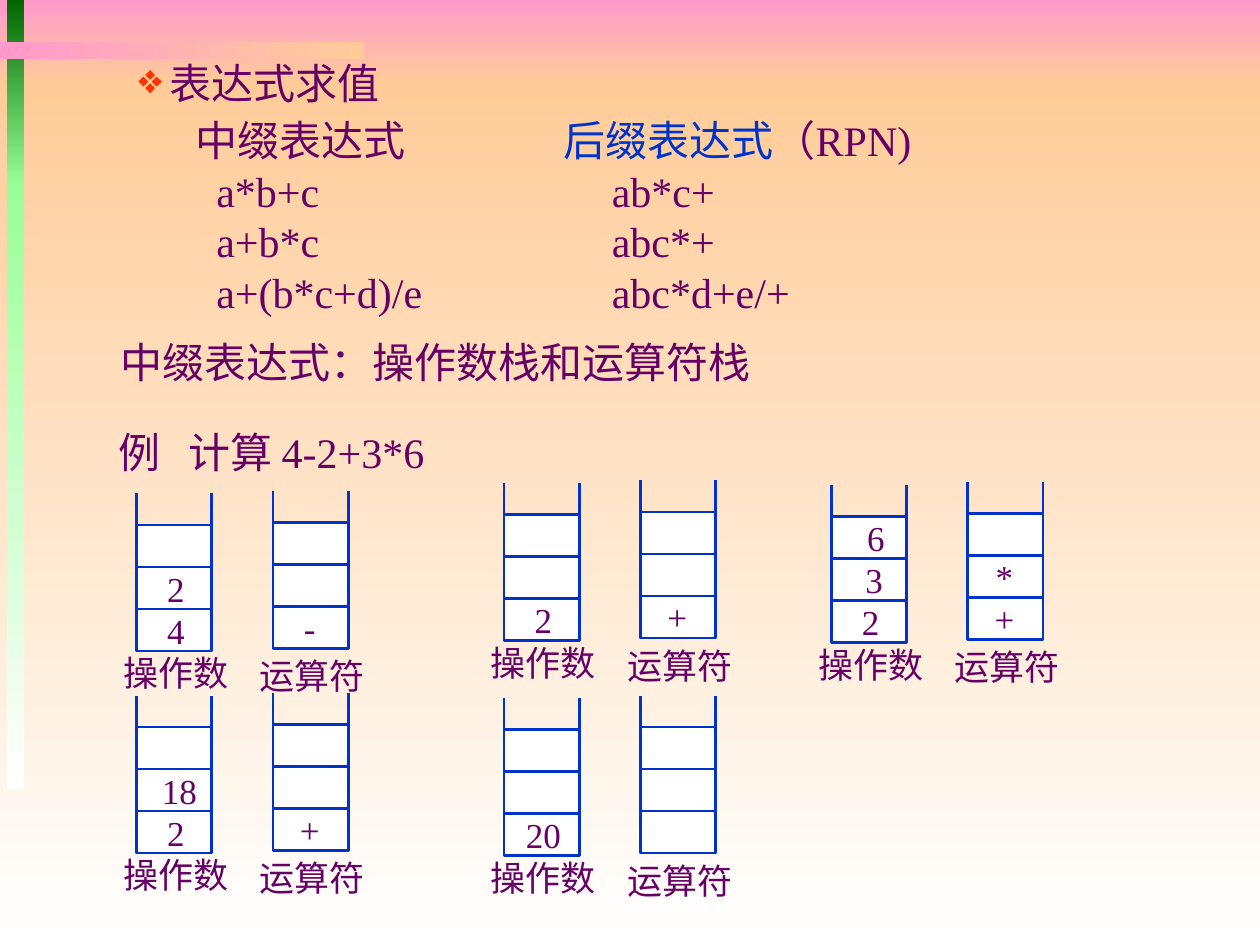
from lxml.etree import SubElement
from pptx import Presentation
from pptx.dml.color import RGBColor
from pptx.enum.shapes import MSO_CONNECTOR, MSO_SHAPE
from pptx.enum.text import MSO_ANCHOR, PP_ALIGN
from pptx.oxml.ns import qn
from pptx.util import Pt

COLORS = {
    "pink": "FF99CC", "peach": "FFCC99", "white": "FFFFFF",
    "dark_green": "006600", "green": "99FF99",
    "text": "660066", "blue": "0033CC", "bullet": "FF3300",
}
CELL_W, CELL_H, CELLS = 43, 24, 3
STACK_H = 90
STACK_STEP, STACK_RISE = 78, 1.5


def rgb(name):
    """Return the named colour."""
    return RGBColor.from_string(COLORS[name])


def set_format(obj, values):
    """Set each attribute of obj from a dict."""
    for name, value in values.items():
        setattr(obj, name, value)


def add_run(p, text, size, color="text", font="Times New Roman"):
    """Append a formatted run to a paragraph."""
    r = p.add_run()
    r.text = text
    set_format(r.font, {"size": Pt(size), "name": font})
    r.font.color.rgb = rgb(color)


def add_tabs(p, stops):
    """Give a paragraph left tab stops."""
    tabs = SubElement(p._p.get_or_add_pPr(), qn("a:tabLst"))
    for stop in stops:
        SubElement(tabs, qn("a:tab"), pos=str(Pt(stop)), algn="l")


def add_bullet(p, char, color, left, hang):
    """Give a paragraph a coloured bullet with a hanging indent."""
    pPr = p._p.get_or_add_pPr()
    pPr.set("marL", str(Pt(left)))
    pPr.set("indent", str(-Pt(hang)))
    clr = SubElement(pPr, qn("a:buClr"))
    SubElement(clr, qn("a:srgbClr"), val=COLORS[color])
    SubElement(pPr, qn("a:buChar"), char=char)


def text_box(shapes, x, y, w, h, anchor=MSO_ANCHOR.MIDDLE):
    """Add a wrapping text box and return its text frame."""
    tf = shapes.add_textbox(Pt(x), Pt(y), Pt(w), Pt(h)).text_frame
    set_format(tf, {"word_wrap": True, "vertical_anchor": anchor})
    return tf


def centered_label(shapes, text, center, y, w):
    """Add a small label centred on an x position."""
    p = text_box(shapes, center - w / 2, y, w, 32).paragraphs[0]
    p.alignment = PP_ALIGN.CENTER
    add_run(p, text, 20)


def gradient_bar(shapes, x, y, w, h, start, end, angle=270):
    """Add a borderless rectangle with a two-colour gradient."""
    sp = shapes.add_shape(MSO_SHAPE.RECTANGLE, Pt(x), Pt(y), Pt(w), Pt(h))
    sp.shadow.inherit = False
    sp.line.fill.background()
    sp.fill.gradient()
    sp.fill.gradient_angle = angle
    for stop, position, color in zip(sp.fill.gradient_stops, (0, 1), (start, end)):
        stop.position = position
        stop.color.rgb = rgb(color)


def background(shapes, x, y, w, h):
    """Draw the backdrop and its decorative bars."""
    gradient_bar(shapes, x, y, w, 48, "pink", "peach")
    gradient_bar(shapes, x, y + 48, w, h - 48, "peach", "white")
    gradient_bar(shapes, x + 4, y, 10, 106, "dark_green", "green")
    gradient_bar(shapes, x + 4, y + 105, 10, 346, "green", "white")
    gradient_bar(shapes, x, y + 24, 208, 10, "pink", "peach", 0)


def title(shapes, x, y, w, h):
    """Write the bulleted heading."""
    p = text_box(shapes, x, y, w, h, MSO_ANCHOR.TOP).paragraphs[0]
    add_bullet(p, "❖", "bullet", 90, 18)
    add_run(p, "表达式求值", 24, font="Arial")


def expressions(shapes, x, y, w, h):
    """List infix expressions beside their postfix forms."""
    tf = text_box(shapes, x, y, w, h)
    p = tf.paragraphs[0]
    add_tabs(p, (60, 270.5))
    add_run(p, "\t中缀表达式\t", 24)
    add_run(p, "后缀表达式", 24, "blue")
    add_run(p, "（RPN)", 24)
    rows = (("a*b+c", "ab*c+"), ("a+b*c", "abc*+"), ("a+(b*c+d)/e", "abc*d+e/+"))
    for infix, postfix in rows:
        p = tf.add_paragraph()
        add_tabs(p, (72, 298))
        add_run(p, f"\t{infix}\t{postfix}", 24)


def statement(shapes, x, y, w, h, text, tabs=()):
    """Write one line of body text."""
    p = text_box(shapes, x, y, w, h).paragraphs[0]
    if tabs:
        add_tabs(p, tabs)
    add_run(p, text, 24)


def stack_frame(shapes, x, y):
    """Draw an open-topped stack of empty cells."""
    for side in (x, x + CELL_W):
        line = shapes.add_connector(
            MSO_CONNECTOR.STRAIGHT, Pt(side), Pt(y), Pt(side), Pt(y + STACK_H))
        line.line.color.rgb = rgb("blue")
        line.line.width = Pt(1.5)
        SubElement(line._element.spPr, qn("a:effectLst"))
    for i in range(CELLS):
        top = y + STACK_H - (i + 1) * CELL_H
        sp = shapes.add_shape(
            MSO_SHAPE.RECTANGLE, Pt(x), Pt(top), Pt(CELL_W), Pt(CELL_H))
        sp.shadow.inherit = False
        sp.fill.solid()
        sp.fill.fore_color.rgb = rgb("white")
        sp.line.color.rgb = rgb("blue")
        sp.line.width = Pt(1.5)


def stack_pair(shapes, x, y, operands, operators):
    """Draw an operand stack and an operator stack, filled from the bottom."""
    group = shapes.add_group_shape().shapes
    stacks = (("操作数", operands, 86.5, 1), ("运算符", operators, 89.5, -0.5))
    for col, (name, values, label_y, nudge) in enumerate(stacks):
        left, top = x + col * STACK_STEP, y - col * STACK_RISE
        center = left + CELL_W / 2
        stack_frame(group, left, top)
        centered_label(group, name, center + 1, top + label_y, 80)
        for i, (value, shift) in enumerate(values):
            cell_top = top + STACK_H - (i + 1) * CELL_H
            centered_label(group, value, center + nudge + shift, cell_top - 4, 44)


def main():
    """Build and save the slide."""
    prs = Presentation()
    set_format(prs, {"slide_width": Pt(720), "slide_height": Pt(540)})
    shapes = prs.slides.add_slide(prs.slide_layouts[6]).shapes
    background(shapes, 0, 0, 720, 540)
    title(shapes, 0, 29.5, 700, 43)
    expressions(shapes, 44.5, 62, 500, 122.5)
    statement(shapes, 62, 188.5, 380, 36, "中缀表达式：操作数栈和运算符栈")
    statement(shapes, 60.5, 240, 200, 36, "例\t计算 4-2+3*6", (40,))
    steps = (
        (78, 282, [("4", 0), ("2", 0)], [("-", 0)]),
        (288, 276, [("2", 0)], [("+", 0)]),
        (475, 277, [("2", 0), ("3", 2), ("6", 3)], [("+", 0), ("*", 0)]),
        (78, 397.5, [("2", 0), ("18", 2)], [("+", 0)]),
        (288, 399, [("20", 0)], []),
    )
    for step in steps:
        stack_pair(shapes, *step)
    prs.save("out.pptx")


if __name__ == "__main__":
    main()
